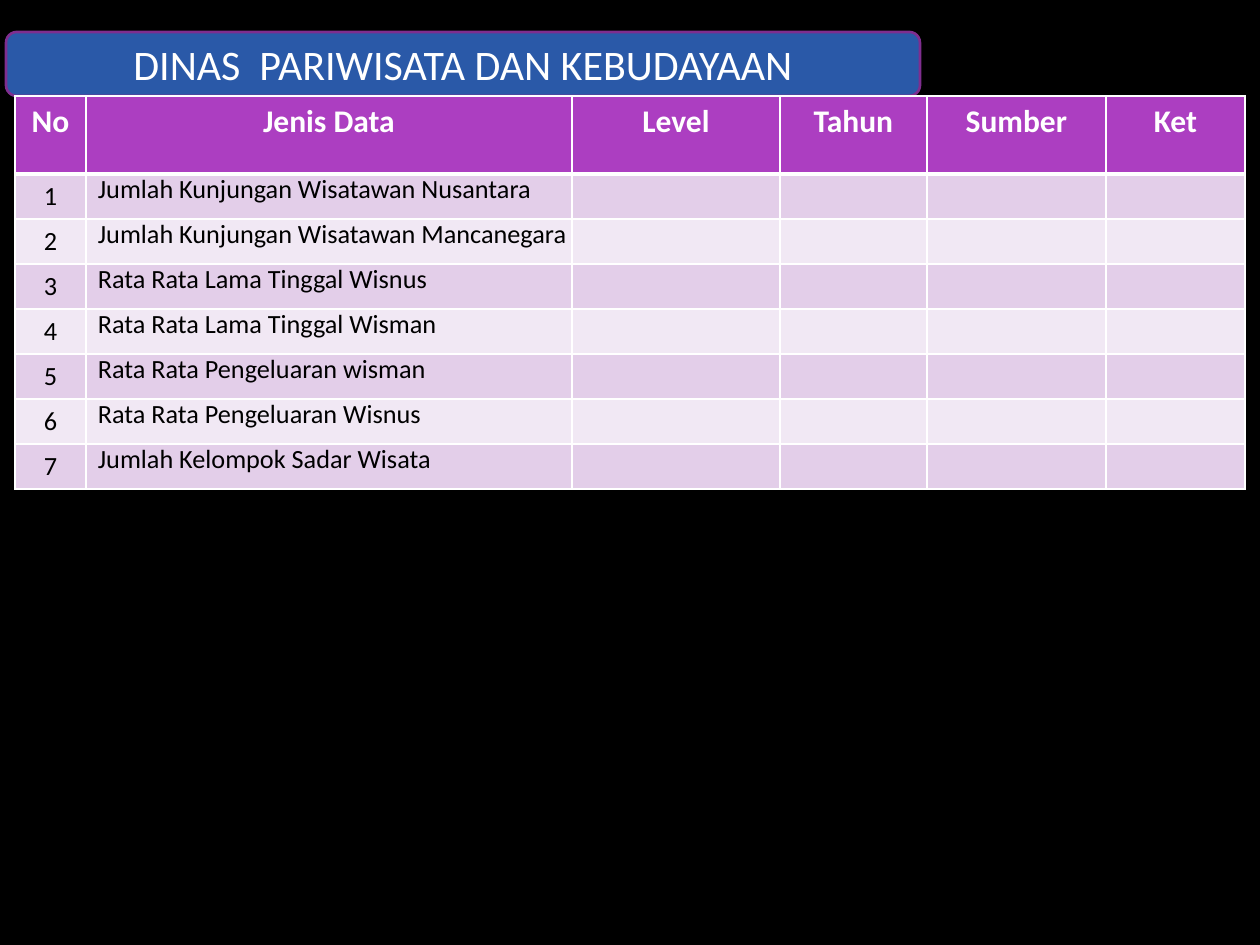
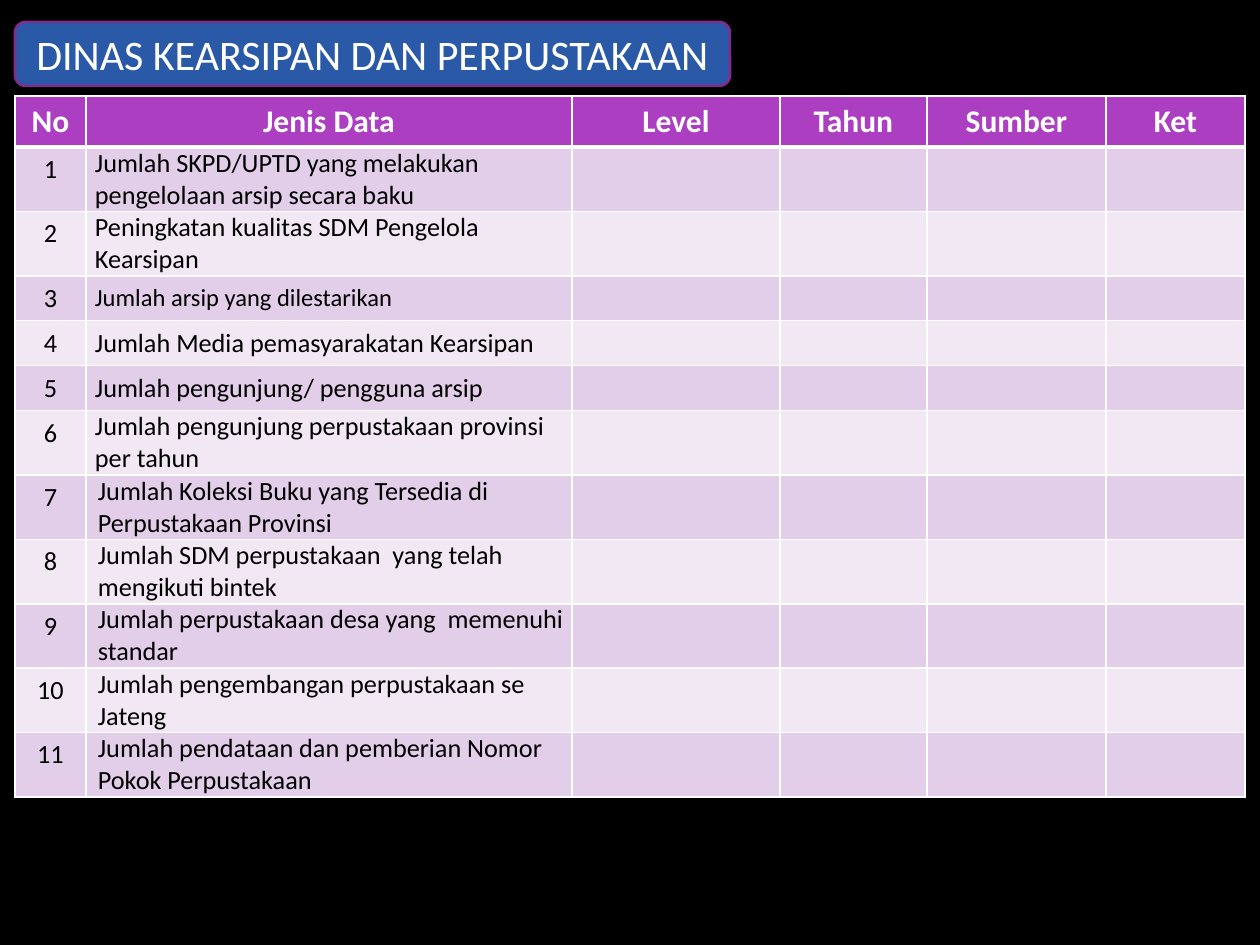
"""Build two slides listing the data sets kept by regional offices."""
from lxml import etree
from pptx import Presentation
from pptx import util as u
from pptx.dml.color import RGBColor
from pptx.enum import shapes, text
from pptx.oxml.ns import qn

PX = u.Inches(1) / 126
FONT = "Calibri"
BLACK = RGBColor(0x00, 0x00, 0x00)
WHITE = RGBColor(0xFF, 0xFF, 0xFF)
BLUE = RGBColor(0x2A, 0x59, 0xA8)
PLUM = RGBColor(0x7F, 0x2E, 0x8F)
PURPLE = RGBColor(0xAC, 0x3E, 0xC1)
BANDS = [RGBColor(0xF1, 0xE8, 0xF4), RGBColor(0xE3, 0xCE, 0xE9)]

HEADS = ["No", "Jenis Data", "Level", "Tahun", "Sumber", "Ket"]
COLS = [71, 486, 208, 147, 179, 139]
ONE_LINE, TWO_LINES = 45, 64

PAGES = [
    {
        "title": "DINAS  PARIWISATA DAN KEBUDAYAAN",
        "box": (6, 32, 914, 64),
        "head": 78,
        "centred": 0,
        "rows": [
            ("Jumlah Kunjungan Wisatawan Nusantara", ONE_LINE, 15),
            ("Jumlah Kunjungan Wisatawan Mancanegara", ONE_LINE, 15),
            ("Rata Rata Lama Tinggal Wisnus", ONE_LINE, 15),
            ("Rata Rata Lama Tinggal Wisman", ONE_LINE, 15),
            ("Rata Rata Pengeluaran wisman", ONE_LINE, 15),
            ("Rata Rata Pengeluaran Wisnus", ONE_LINE, 15),
            ("Jumlah Kelompok Sadar Wisata", ONE_LINE, 15),
        ],
    },
    {
        "title": "DINAS KEARSIPAN DAN PERPUSTAKAAN",
        "box": (15, 22, 715, 64),
        "head": 51,
        "centred": 6,
        "rows": [
            ("Jumlah SKPD/UPTD yang melakukan pengelolaan arsip secara baku", TWO_LINES, 15),
            ("Peningkatan kualitas SDM Pengelola Kearsipan", TWO_LINES, 15),
            ("Jumlah arsip yang dilestarikan", ONE_LINE, 14),
            ("Jumlah Media pemasyarakatan Kearsipan", ONE_LINE, 15),
            ("Jumlah pengunjung/ pengguna arsip", ONE_LINE, 15),
            ("Jumlah pengunjung perpustakaan provinsi per tahun", TWO_LINES, 15),
            ("Jumlah Koleksi Buku yang Tersedia di Perpustakaan Provinsi", TWO_LINES, 15),
            ("Jumlah SDM perpustakaan  yang telah mengikuti bintek", TWO_LINES, 15),
            ("Jumlah perpustakaan desa yang  memenuhi standar", TWO_LINES, 15),
            ("Jumlah pengembangan perpustakaan se Jateng", TWO_LINES, 15),
            ("Jumlah pendataan dan pemberian Nomor Pokok Perpustakaan", TWO_LINES, 15),
        ],
    },
]


def px(n):
    return u.Emu(round(n * PX))


def write(tf, words, size, color, bold=False, align=text.PP_ALIGN.CENTER):
    p = tf.paragraphs[0]
    p.text = words
    p.alignment = align
    p.font.name = FONT
    p.font.size = u.Pt(size)
    p.font.bold = bold
    p.font.color.rgb = color
    return p


prs = Presentation()
prs.slide_width, prs.slide_height = px(1260), px(945)

for page in PAGES:
    slide = prs.slides.add_slide(prs.slide_layouts[6])
    slide.background.fill.solid()
    slide.background.fill.fore_color.rgb = BLACK

    sp = slide.shapes.add_shape(shapes.MSO_SHAPE.ROUNDED_RECTANGLE, *map(px, page["box"]))
    sp.shadow.inherit = False
    sp.fill.solid()
    sp.fill.fore_color.rgb = BLUE
    sp.line.color.rgb = PLUM
    sp.line.width = u.Pt(1.5)
    sp.text_frame.vertical_anchor = text.MSO_ANCHOR.MIDDLE
    write(sp.text_frame, page["title"], 24, WHITE)

    heights = [page["head"]] + [height for _, height, _ in page["rows"]]
    frame = slide.shapes.add_table(
        len(heights), len(COLS), px(15), px(96), px(sum(COLS)), px(sum(heights)))
    table = frame.table
    for column, width in zip(table.columns, COLS):
        column.width = px(width)
    for row, height in zip(table.rows, heights):
        row.height = px(height)

    for c, head in enumerate(HEADS):
        write(table.cell(0, c).text_frame, head, 18, WHITE, bold=True)

    for n, (words, _, size) in enumerate(page["rows"], 1):
        write(table.cell(n, 0).text_frame, str(n), 15, BLACK)
        cell = table.cell(n, 1)
        p = write(cell.text_frame, words, size, BLACK, align=text.PP_ALIGN.LEFT)
        if n <= page["centred"]:
            cell.vertical_anchor = text.MSO_ANCHOR.MIDDLE
            cell.margin_left = cell.margin_right = px(9)
            p.space_before = p.space_after = u.Pt(4.8)
        else:
            cell.margin_left, cell.margin_right = px(12), 0
        for c in range(1, len(COLS)):
            table.cell(n, c).margin_top = table.cell(n, c).margin_bottom = 0

    for r in range(len(heights)):
        for c in range(len(COLS)):
            cell = table.cell(r, c)
            cell.fill.solid()
            cell.fill.fore_color.rgb = BANDS[r % 2] if r else PURPLE
            tcPr = cell._tc.get_or_add_tcPr()
            for i, side in enumerate("LRTB"):
                thick = (r, side) in [(0, "B"), (1, "T")]
                ln = etree.Element(qn("a:ln" + side), w=str(u.Pt(3 if thick else 1)))
                fill = etree.SubElement(ln, qn("a:solidFill"))
                etree.SubElement(fill, qn("a:srgbClr"), val=str(WHITE))
                tcPr.insert(i, ln)

prs.save("out.pptx")
